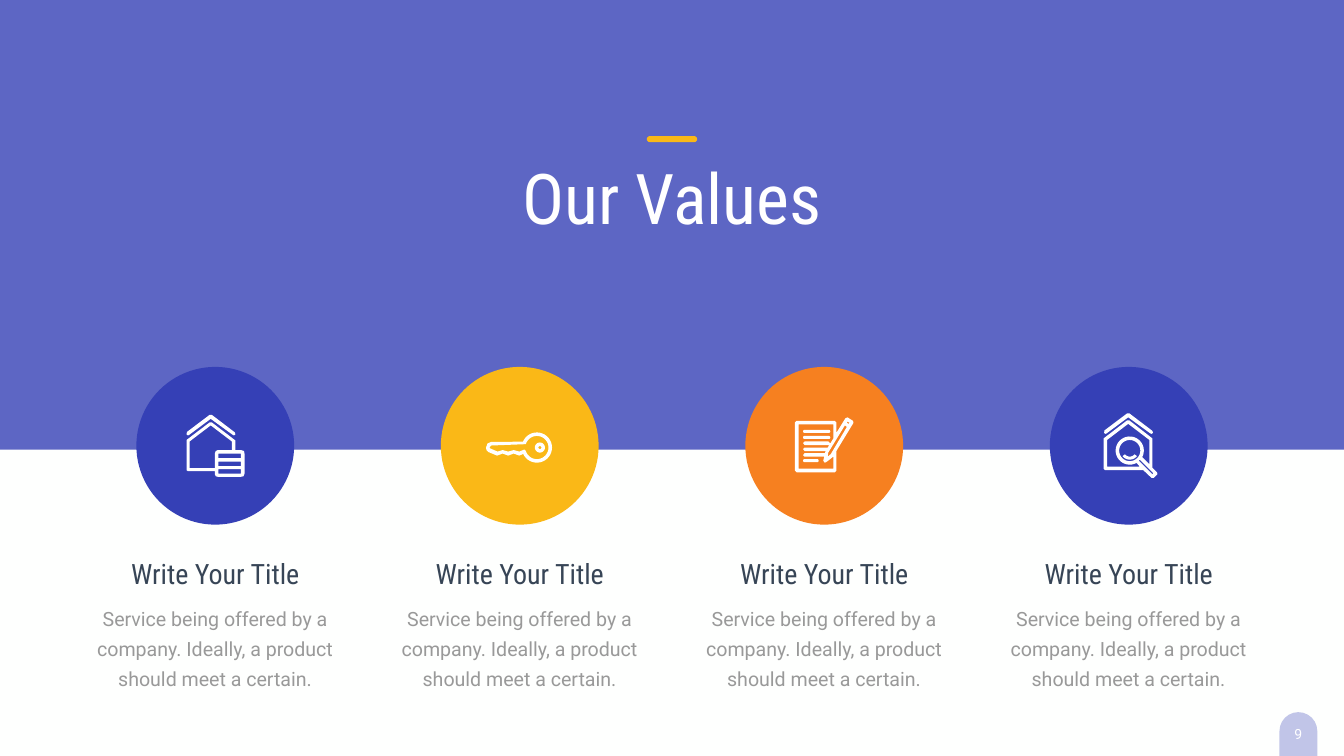
from math import cos, radians, sin

from pptx import Presentation
from pptx.dml.color import RGBColor
from pptx.enum.shapes import MSO_SHAPE as Shape
from pptx.enum.text import MSO_ANCHOR as Anchor, MSO_AUTO_SIZE as Fit, PP_ALIGN as Align
from pptx.oxml.ns import qn
from pptx.oxml.xmlchemy import OxmlElement
from pptx.util import Inches, Pt

BLUE = RGBColor(0x35, 0x40, 0xB6)
GOLD = RGBColor(0xFA, 0xB8, 0x17)
ORANGE = RGBColor(0xF6, 0x80, 0x20)
SLATE = RGBColor(0x37, 0x45, 0x56)
GRAY = RGBColor(0x99, 0x99, 0x99)
WHITE = RGBColor(0xFF, 0xFF, 0xFF)
PAPER = RGBColor(0xFE, 0xFF, 0xFE)
BODY, HEAD = "Roboto", "Roboto Condensed"


def arc(x, y, r, start=0, end=360):
    """Points along an arc, in degrees clockwise from the right."""
    turns = [radians(start + (end - start) * i / 32) for i in range(33)]
    return [(x + r * cos(t), y + r * sin(t)) for t in turns]


def box(left, top, right, low):
    return [(left, top), (right, top), (right, low), (left, low)]


def pill(left, top, right, r=0.03):
    """Outline of a short bar with round ends."""
    return (arc(left + r, top + r, r, 90, 270)
            + arc(right - r, top + r, r, -90, 90))


def roof(x, y):
    """Outline of a gable whose peak is at x, y."""
    return [(x + dx, y + dy) for dx, dy in (
        (-0.43, 0.4), (0, 0.08), (0.44, 0.4), (0.46, 0.41), (0.49, 0.39),
        (0.48, 0.35), (0.02, 0), (-0.02, 0), (-0.47, 0.34), (-0.48, 0.39), (-0.45, 0.41))]


# An icon is a list of outlines; an outline is a list of contours in slide inches,
# where a contour inside another one cuts a hole.
HOUSE = [
    [
        [(4.85, 9), (4.84, 8.95), (4.78, 8.93), (4.67, 8.93), (4.67, 8.74),
         (4.2, 8.38), (4.16, 8.38), (3.7, 8.73), (3.7, 9.33), (3.73, 9.35),
         (4.26, 9.35), (4.26, 9.41), (4.28, 9.45), (4.32, 9.46), (4.78, 9.46),
         (4.83, 9.45), (4.85, 9.4)],
        [(3.76, 8.76), (4.18, 8.44), (4.6, 8.76), (4.6, 8.93), (4.32, 8.93),
         (4.28, 8.95), (4.26, 9), (4.26, 9.29), (3.76, 9.29)],
        *(box(4.33, top, 4.78, top + 0.09) for top in (9, 9.16, 9.31)),
    ],
    [roof(4.18, 8.23)],
]
KEY = [
    [
        [(9.69, 8.97), (9.86, 9.04), (9.97, 9), (10.08, 9.04), (10.19, 9), (10.3, 9.04),
         *arc(10.65, 8.88, 0.3, 155, -157),
         (9.74, 8.77), (9.67, 8.8), (9.64, 8.88), (9.65, 8.93)],
        [(9.74, 8.84), *arc(10.65, 8.88, 0.23, -163, 163),
         (10.4, 8.92), (10.3, 8.96), (10.19, 8.93), (10.08, 8.96), (9.97, 8.93),
         (9.87, 8.96), (9.73, 8.9), (9.71, 8.88)],
    ],
    [arc(10.71, 8.88, 0.1), arc(10.71, 8.88, 0.03)],
]
NOTE = [
    [pill(15.93, 8.53, 16.47)],
    [pill(15.93, 8.65, 16.47)],
    [pill(15.93, 9.11, 16.24)],
    [
        [(16.92, 8.35), (16.81, 8.28), (16.77, 8.3), (16.59, 8.59), (16.59, 8.38),
         (16.56, 8.35), (15.8, 8.35), (15.77, 8.38), (15.77, 9.34), (15.8, 9.37),
         (16.56, 9.37), (16.59, 9.34), (16.59, 8.95), (16.93, 8.39)],
        [(15.84, 9.3), (15.84, 8.42), (16.53, 8.42), (16.53, 8.7), (16.47, 8.8),
         (16.43, 8.76), (15.96, 8.76), (15.93, 8.79), (15.96, 8.83), (16.45, 8.83),
         (16.42, 8.88), (15.96, 8.88), (15.93, 8.91), (15.96, 8.95), (16.38, 8.95),
         (16.36, 8.99), (15.96, 8.99), (15.93, 9.03), (15.96, 9.06), (16.35, 9.06),
         (16.33, 9.14), (16.36, 9.18), (16.39, 9.17), (16.53, 9.06), (16.53, 9.3)],
        [(16.84, 8.41), (16.8, 8.39), (16.81, 8.36), (16.85, 8.39)],
        [(16.48, 9.01), (16.42, 9.06), (16.43, 8.98), (16.76, 8.44), (16.8, 8.47)],
    ],
]
SEARCH = [
    [roof(22.38, 8.2)],
    [
        [(22.95, 9.37), (22.86, 9.28), (22.86, 8.7), (22.4, 8.34), (22.36, 8.34),
         (21.89, 8.7), (21.89, 9.3), (21.92, 9.33), (22.68, 9.33), (22.84, 9.48),
         (22.89, 9.48), (22.96, 9.41)],
        [(21.96, 8.73), (22.38, 8.41), (22.8, 8.73), (22.8, 9.21),
         *arc(22.41, 8.94, 0.28, 28, -299), (22.61, 9.26), (21.96, 9.26)],
        arc(22.41, 8.94, 0.21),
        [(22.59, 9.14), (22.61, 9.12), (22.88, 9.39), (22.86, 9.41)],
    ],
    [arc(22.41, 8.94, 0.18, 38, 142) + arc(22.41, 8.94, 0.12, 142, 38)],
]

TITLE = "Our Values"
LABEL = "Write Your Title"
BLURB = "Service being offered by a company. Ideally, a product should meet a certain."
VALUES = [
    (LABEL, BLURB, BLUE, HOUSE),
    (LABEL, BLURB, GOLD, KEY),
    (LABEL, BLURB, ORANGE, NOTE),
    (LABEL, BLURB, BLUE, SEARCH),
]
WIDTH, HEIGHT = 26.66, 15
FIRST, STEP = 4.27, 6.04  # centre of the first column, column pitch
DISC = 3.13


def paint(shape, color, alpha=None):
    shape.shadow.inherit = False
    shape.fill.solid()
    shape.fill.fore_color.rgb = color
    shape.line.fill.background()
    if alpha:
        node = OxmlElement("a:alpha")
        node.set("val", str(alpha * 1000))
        shape.element.spPr.find(".//" + qn("a:srgbClr")).append(node)
    return shape


def add(slide, kind, left, top, wide, high, color, alpha=None):
    shape = slide.shapes.add_shape(
        kind, Inches(left), Inches(top), Inches(wide), Inches(high))
    return paint(shape, color, alpha)


def write(shape, text, size, font, color, pad=(0.1, 0.05), pitch=None):
    """Fill a text shape with one centred paragraph."""
    frame = shape.text_frame
    frame.word_wrap = True
    frame.auto_size = Fit.SHAPE_TO_FIT_TEXT
    frame.vertical_anchor = Anchor.TOP
    frame.margin_left = frame.margin_right = Inches(pad[0])
    frame.margin_top = frame.margin_bottom = Inches(pad[1])
    para = frame.paragraphs[0]
    para.alignment = Align.CENTER
    para.space_before = Pt(0)
    para.line_spacing = pitch or 1.0
    run = para.add_run()
    run.text = text
    run.font.size, run.font.name = Pt(size), font
    run.font.color.rgb = color


def label(slide, left, top, wide, high, *text, **style):
    area = slide.shapes.add_textbox(
        Inches(left), Inches(top), Inches(wide), Inches(high))
    write(area, *text, **style)


def draw(slide, loops):
    paths = [[(Inches(x), Inches(y)) for x, y in loop] for loop in loops]
    pen = slide.shapes.build_freeform(*paths[0][0])
    for i, path in enumerate(paths):
        if i:
            pen.move_to(*path[0])
        pen.add_line_segments(path[1:], close=True)
    paint(pen.convert_to_shape(), WHITE)


def main():
    deck = Presentation()
    deck.slide_width, deck.slide_height = Inches(WIDTH), Inches(HEIGHT)
    slide = deck.slides.add_slide(deck.slide_layouts[5])
    slide.background.fill.solid()
    slide.background.fill.fore_color.rgb = PAPER

    title = slide.shapes.title
    title.left, title.top = Inches(8.63), Inches(3.01)
    title.width, title.height = Inches(9.39), Inches(1.78)
    write(title, TITLE, 100, HEAD, WHITE)
    band = add(slide, Shape.RECTANGLE, 0, 0, WIDTH, 8.92, BLUE, 80)
    title.element.addprevious(band.element)  # behind the title
    dash = add(slide, Shape.ROUNDED_RECTANGLE, 12.83, 2.7, 1, 0.12, GOLD)
    dash.adjustments[0] = 0.5

    for i, (name, blurb, color, icon) in enumerate(VALUES):
        mid = FIRST + i * STEP
        label(slide, mid - 2.6, 11.79, 5.19, 2, blurb, 28, BODY, GRAY,
              pad=(0.24, 0.12), pitch=Pt(43))
        label(slide, mid - 2.51, 11, 5.02, 0.77, name, 40, HEAD, SLATE)
        add(slide, Shape.OVAL, mid - DISC / 2, 7.28, DISC, DISC, color)
        for loops in icon:
            draw(slide, loops)

    tab = add(slide, Shape.ROUNDED_RECTANGLE, 24.85, 14.66, 1.81, 0.75, BLUE, 30)
    tab.adjustments[0] = 0.5
    tab.rotation = 90
    label(slide, 25.3, 14.3, 0.91, 0.54, "9", 20, BODY, WHITE, pad=(0.2, 0.1))
    deck.save("out.pptx")


if __name__ == "__main__":
    main()
